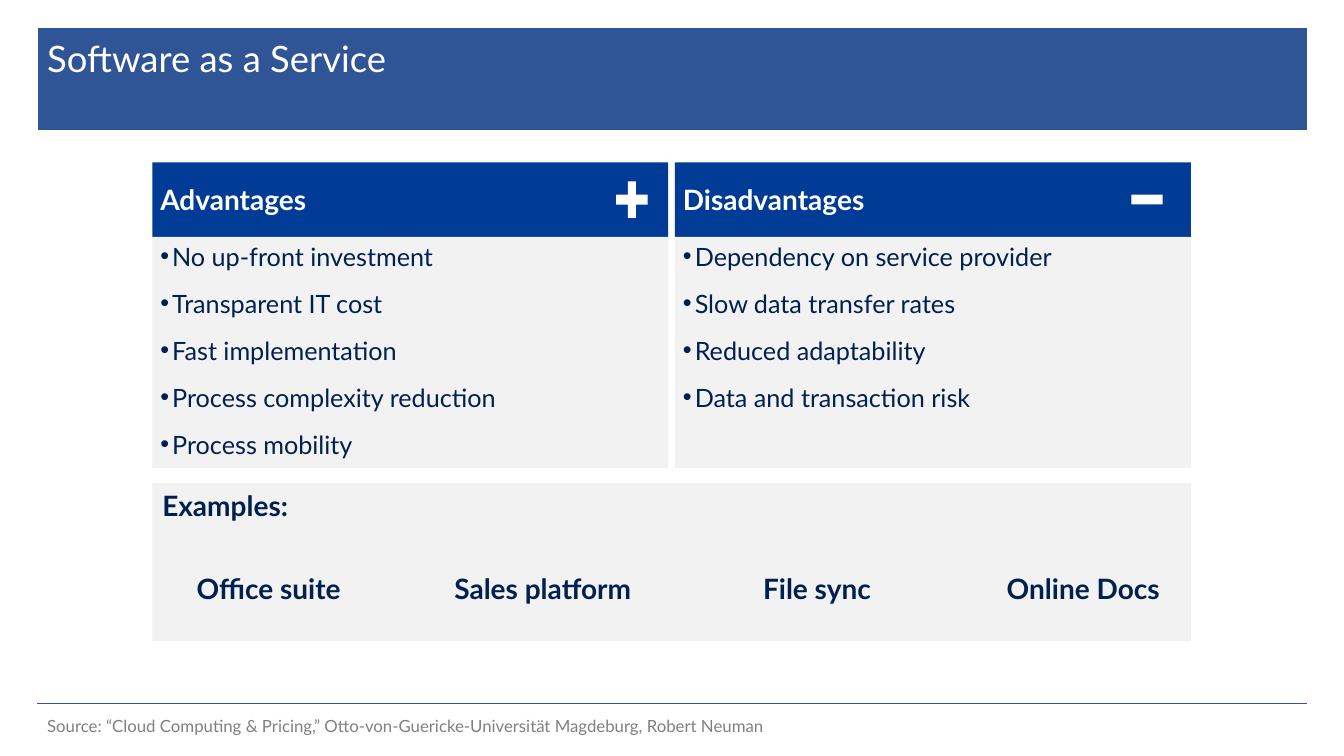
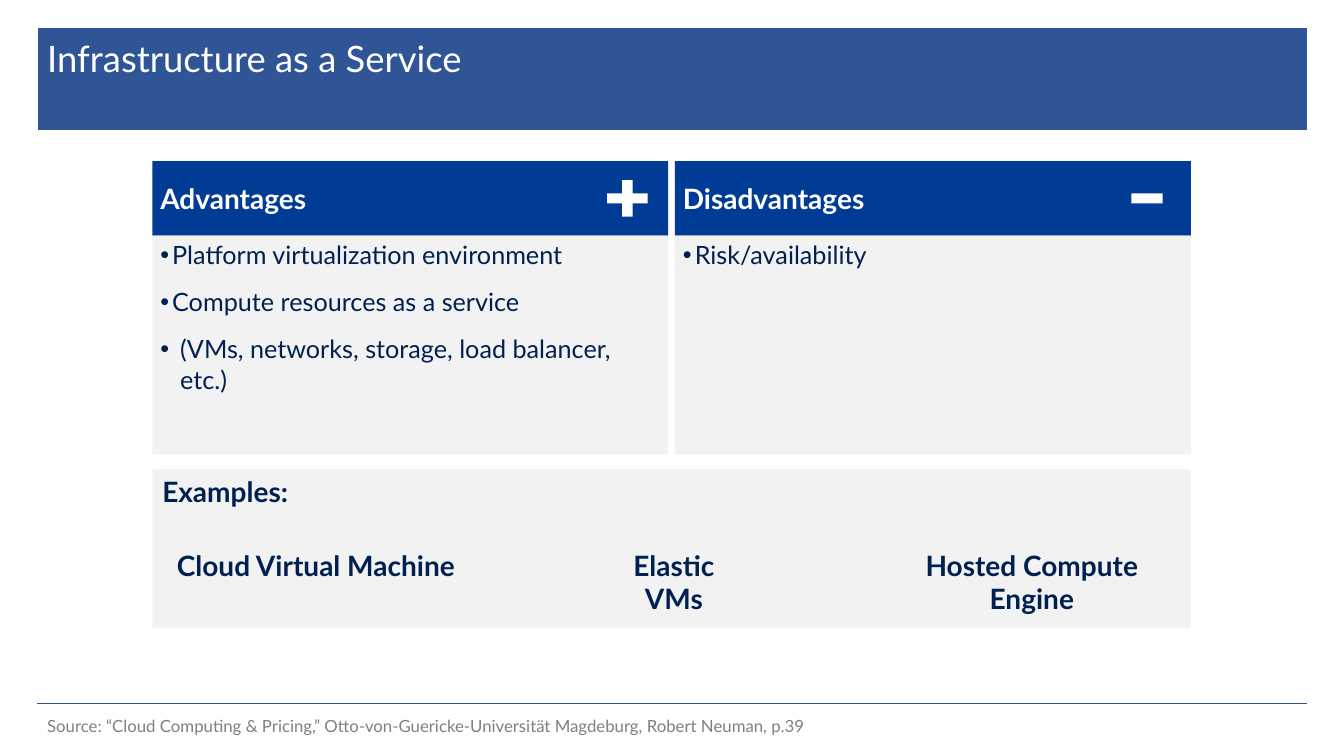
from dataclasses import dataclass

from lxml import etree
from pptx import Presentation
from pptx.dml.color import RGBColor
from pptx.enum import shapes, text
from pptx.oxml import ns
from pptx.util import Cm, Pt


@dataclass(frozen=True)
class Theme:
    """Colours, font and type sizes of the presentation."""
    font: str = "Lato"
    band: str = "2F5597"
    header: str = "003C96"
    panel: str = "F2F2F2"
    ink: str = "002050"
    white: str = "FFFFFF"
    muted: str = "808080"
    title_size: int = 26
    heading_size: int = 20
    bullet_size: int = 18
    source_size: int = 12


@dataclass(frozen=True)
class Box:
    """A rectangle in centimetres."""
    left: float
    top: float
    width: float
    height: float

    @property
    def right(self):
        """Return the right edge."""
        return self.left + self.width

    @property
    def bottom(self):
        """Return the bottom edge."""
        return self.top + self.height

    def lengths(self):
        """Return left, top, width and height as lengths."""
        return Cm(self.left), Cm(self.top), Cm(self.width), Cm(self.height)


THEME = Theme()
BAND = Box(0.94, 0.69, 32, 2.6)
TITLE = Box(0.94, 0.79, 28.1, 2.41)
SOURCE = Box(0.94, 17.7, 28.5, 1.2)
RULE_TOP = 17.73
COLUMN_LEFT, COLUMN_WIDTH, COLUMN_GAP = 3.84, 13, 0.17
HEADER_HEIGHT, EXAMPLES_HEIGHT, EXAMPLES_GAP = 1.88, 3.99, 0.38
DEFAULT_INSETS, TABLE_INSETS, NO_INSETS = (0.25, 0.13), (0.2, 0.1), (0, 0)
BAR_HEIGHT = 0.25
BULLET_INDENT, DEEP_INDENT = 0.3, 0.5


def rgb(colour):
    """Return a colour object for a hex string."""
    return RGBColor.from_string(colour)


def paint(shape, colour):
    """Give a shape a plain fill without line or shadow."""
    shape.shadow.inherit = False
    shape.fill.solid()
    shape.fill.fore_color.rgb = rgb(colour)
    shape.line.fill.background()


def add_panel(slide, box, colour):
    """Add a plain rectangle."""
    panel = slide.shapes.add_shape(shapes.MSO_SHAPE.RECTANGLE, *box.lengths())
    paint(panel, colour)
    return panel


def style(paragraph, size, colour, bold=False, align=text.PP_ALIGN.LEFT):
    """Set the type and alignment of a paragraph."""
    paragraph.alignment = align
    paragraph.font.name = THEME.font
    paragraph.font.size = Pt(size)
    paragraph.font.bold = bold
    paragraph.font.color.rgb = rgb(colour)


def prepare_frame(shape, insets, anchor=text.MSO_ANCHOR.TOP):
    """Set wrapping, margins and anchor, and return the text frame."""
    frame = shape.text_frame
    frame.word_wrap = True
    frame.auto_size = text.MSO_AUTO_SIZE.NONE
    frame.vertical_anchor = anchor
    frame.margin_left = frame.margin_right = Cm(insets[0])
    frame.margin_top = frame.margin_bottom = Cm(insets[1])
    return frame


def write(shape, words, insets, size, colour, bold=False,
          align=text.PP_ALIGN.LEFT, anchor=text.MSO_ANCHOR.TOP):
    """Write one paragraph into a shape."""
    paragraph = prepare_frame(shape, insets, anchor).paragraphs[0]
    paragraph.text = words
    style(paragraph, size, colour, bold, align)


def add_bullet(paragraph, indent):
    """Give a paragraph a hanging bullet."""
    properties = paragraph._p.get_or_add_pPr()
    properties.set("marL", str(Cm(indent)))
    properties.set("indent", str(-Cm(indent)))
    font = etree.SubElement(properties, ns.qn("a:buFont"))
    font.set("typeface", "Arial")
    bullet = etree.SubElement(properties, ns.qn("a:buChar"))
    bullet.set("char", "•")


def decorate_layout(layout, slide):
    """Move the title band and footer rule into the shared layout."""
    band = add_panel(slide, BAND, THEME.band)
    band.line.color.rgb = rgb(THEME.white)
    band.line.width = Pt(0.25)
    rule = slide.shapes.add_connector(
        shapes.MSO_CONNECTOR.STRAIGHT, Cm(BAND.left), Cm(RULE_TOP),
        Cm(BAND.right), Cm(RULE_TOP))
    rule.line.color.rgb = rgb(THEME.band)
    rule.line.width = Pt(0.5)
    etree.SubElement(rule.element.spPr, ns.qn("a:effectLst"))
    for position, shape in enumerate((band, rule), start=2):
        layout.shapes.element.insert(position, shape.element)


def add_title(slide, box, words):
    """Place and format the title placeholder."""
    title = slide.shapes.title
    title.left, title.top, title.width, title.height = box.lengths()
    write(title, words, DEFAULT_INSETS, THEME.title_size, THEME.white)


def add_source(slide, box, words):
    """Add the source line."""
    source = slide.shapes.add_textbox(*box.lengths())
    write(source, words, DEFAULT_INSETS, THEME.source_size, THEME.muted,
          anchor=text.MSO_ANCHOR.MIDDLE)


def add_plus(slide, header, width):
    """Draw a plus sign at the right of a header."""
    height, stem, margin = 0.92, width * 0.26, 0.52
    right, middle = header.right - margin, header.top + header.height / 2
    left, centre = right - width, right - width / 2
    top, bottom = middle - height / 2, middle + height / 2
    upper, lower = middle - BAR_HEIGHT / 2, middle + BAR_HEIGHT / 2
    west, east = centre - stem / 2, centre + stem / 2
    corners = [(left, upper), (west, upper), (west, top), (east, top),
               (east, upper), (right, upper), (right, lower), (east, lower),
               (east, bottom), (west, bottom), (west, lower), (left, lower)]
    points = [(Cm(x), Cm(y)) for x, y in corners]
    builder = slide.shapes.build_freeform(*points[0])
    builder.add_line_segments(points[1:], close=True)
    paint(builder.convert_to_shape(), THEME.white)


def add_minus(slide, header):
    """Draw a minus sign at the right of a header."""
    width, margin = 0.79, 0.71
    top = header.top + (header.height - BAR_HEIGHT) / 2
    bar = Box(header.right - margin - width, top, width, BAR_HEIGHT)
    add_panel(slide, bar, THEME.white)


def add_column(slide, box, heading, items):
    """Add a headed panel of bullets and return the header box."""
    header = Box(box.left, box.top, box.width, HEADER_HEIGHT)
    body = Box(box.left, header.bottom, box.width, box.height - HEADER_HEIGHT)
    write(add_panel(slide, header, THEME.header), heading, TABLE_INSETS,
          THEME.heading_size, THEME.white, bold=True,
          anchor=text.MSO_ANCHOR.MIDDLE)
    frame = prepare_frame(add_panel(slide, body, THEME.panel), TABLE_INSETS)
    for number, item in enumerate(items):
        paragraph = frame.add_paragraph() if number else frame.paragraphs[0]
        paragraph.text = item
        paragraph.space_before = Pt(6 if number else 0)
        paragraph.space_after = Pt(6)
        add_bullet(paragraph, DEEP_INDENT if item.startswith("(") else BULLET_INDENT)
        style(paragraph, THEME.bullet_size, THEME.ink)
    return header


def add_examples(slide, box, names, first, step, width, drop):
    """Add the examples panel with evenly spaced names."""
    write(add_panel(slide, box, THEME.panel), "Examples:", DEFAULT_INSETS,
          THEME.heading_size, THEME.ink, bold=True)
    for number, name in enumerate(names):
        left = box.left + first + number * step
        label = Box(left, box.top + drop, min(width, box.right - left),
                    box.height - drop)
        write(slide.shapes.add_textbox(*label.lengths()), name, NO_INSETS,
              THEME.heading_size, THEME.ink, bold=True,
              align=text.PP_ALIGN.CENTER)


def build_service_slide(slide, content):
    """Build a slide weighing up one service model."""
    add_title(slide, TITLE, content["title"])
    add_source(slide, SOURCE, content["source"])
    left, right = (
        Box(COLUMN_LEFT + number * (COLUMN_WIDTH + COLUMN_GAP), content["top"],
            COLUMN_WIDTH, content["height"]) for number in range(2))
    examples = Box(left.left, left.bottom + EXAMPLES_GAP,
                   right.right - left.left, EXAMPLES_HEIGHT)
    add_examples(slide, examples, **content["examples"])
    add_minus(slide, add_column(slide, right, "Disadvantages", content["cons"]))
    add_plus(slide, add_column(slide, left, "Advantages", content["pros"]),
             content["plus_width"])


CITATION = "Source: “Cloud Computing & Pricing,” Otto-von-Guericke-Universität Magdeburg, Robert Neuman"
SERVICES = [
    {
        "title": "Software as a Service",
        "source": CITATION,
        "top": 4.09, "height": 7.7, "plus_width": 0.79,
        "pros": ["No up-front investment", "Transparent IT cost",
                 "Fast implementation", "Process complexity reduction",
                 "Process mobility"],
        "cons": ["Dependency on service provider", "Slow data transfer rates",
                 "Reduced adaptability", "Data and transaction risk"],
        "examples": {
            "names": ["Office suite", "Sales platform", "File sync", "Online Docs"],
            "first": 0.02, "step": 6.91, "width": 5.82, "drop": 2.24},
    },
    {
        "title": "Infrastructure as a Service",
        "source": CITATION + ", p.39",
        "top": 4.06, "height": 7.39, "plus_width": 1.02,
        "pros": ["Platform virtualization environment",
                 "Compute resources as a service",
                 "(VMs, networks, storage, load balancer, etc.)"],
        "cons": ["Risk/availability"],
        "examples": {
            "names": ["Cloud Virtual Machine", "Elastic\vVMs",
                      "Hosted Compute\vEngine"],
            "first": 0.48, "step": 9.02, "width": 7.29, "drop": 1.98},
    },
]


def main():
    """Build and save the presentation."""
    presentation = Presentation()
    presentation.slide_width, presentation.slide_height = Cm(33.87), Cm(19.05)
    layout = presentation.slide_layouts.get_by_name("Title Only")
    for number, content in enumerate(SERVICES):
        slide = presentation.slides.add_slide(layout)
        if number == 0:
            decorate_layout(layout, slide)
        build_service_slide(slide, content)
    presentation.save("out.pptx")


if __name__ == "__main__":
    main()
